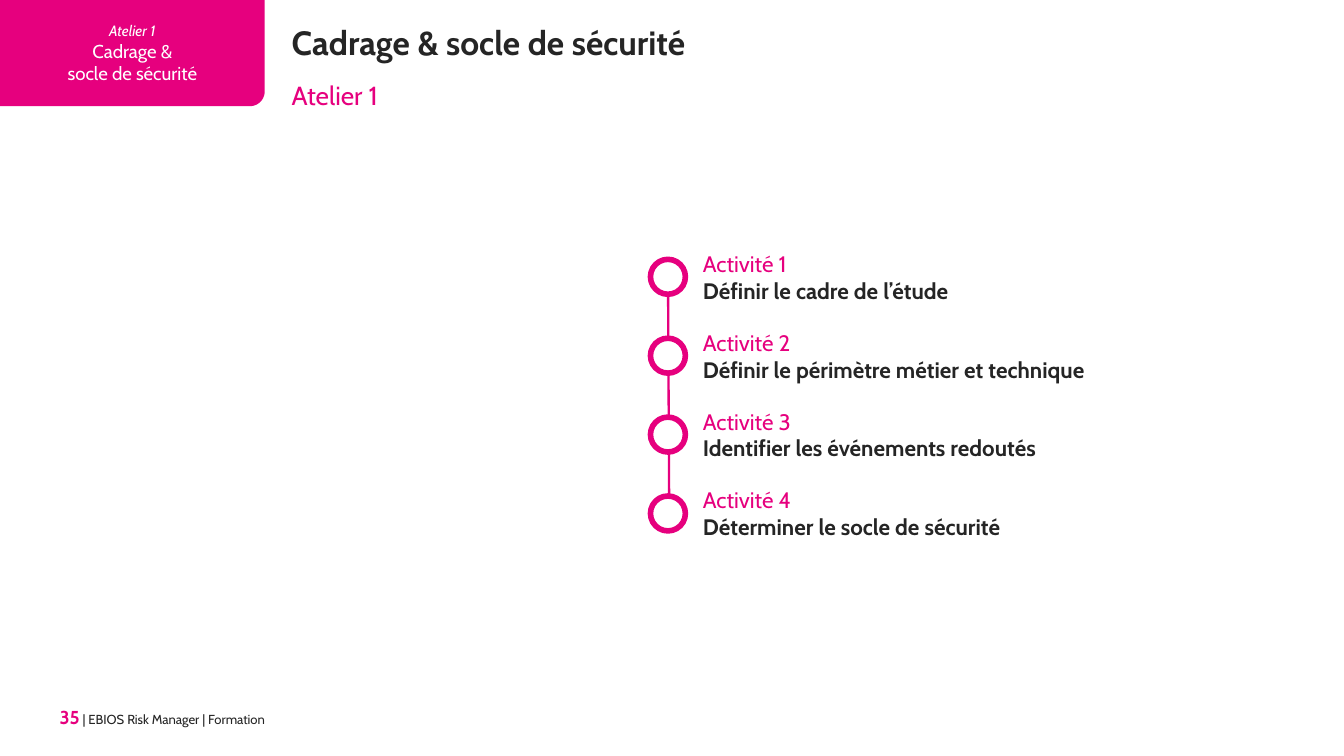
from dataclasses import dataclass
from math import cos, pi, sin

from lxml.etree import SubElement
from pptx import Presentation
from pptx.dml.color import RGBColor
from pptx.enum.shapes import MSO_CONNECTOR, MSO_SHAPE
from pptx.enum.text import MSO_ANCHOR, PP_ALIGN
from pptx.oxml.ns import qn
from pptx.util import Inches, Pt


@dataclass(frozen=True)
class Theme:
    font: str = "Cabin"
    pink: RGBColor = RGBColor(0xE6, 0x00, 0x7E)
    ink: RGBColor = RGBColor(0x25, 0x25, 0x25)
    white: RGBColor = RGBColor(0xFF, 0xFF, 0xFF)
    title: int = 18
    subtitle: int = 14
    activity: int = 12
    banner: int = 10
    banner_small: int = 8
    page: int = 10
    footer: int = 7


THEME = Theme()

# Square grid of tenths of an inch
COLUMNS, ROWS = 100, 56.25
TEXT_LEFT = 21.7
BANNER_WIDTH, BANNER_HEIGHT, BANNER_RADIUS = 19.7, 7.9, 1.1
STEP_TOP, STEP_PITCH = 19.3, 5.87
STEP_LEFT, STEP_SIZE = 48.4, 2.6
LABEL_LEFT, LABEL_RISE, LABEL_WIDTH = 52.3, 0.7, 32.5

ACTIVITIES = [
    "Définir le cadre de l’étude",
    "Définir le périmètre métier et technique",
    "Identifier les événements redoutés",
    "Déterminer le socle de sécurité",
]


def grid(*cells):
    return [Inches(cell / 10) for cell in cells]


def style(size, color, bold=False, italic=False):
    return {"name": THEME.font, "size": Pt(size), "bold": bold,
            "italic": italic, "color": color}


def write(frame, lines, align=PP_ALIGN.LEFT, anchor=MSO_ANCHOR.TOP):
    """Each line is a paragraph: a list of (text, style) runs."""
    frame_format = {"word_wrap": True, "vertical_anchor": anchor,
                    "margin_left": 0, "margin_right": 0,
                    "margin_top": 0, "margin_bottom": 0}
    for name, value in frame_format.items():
        setattr(frame, name, value)
    for index, runs in enumerate(lines):
        paragraph = frame.add_paragraph() if index else frame.paragraphs[0]
        paragraph.alignment = align
        for text, look in runs:
            run = paragraph.add_run()
            run.text = text
            for name, value in look.items():
                if name == "color":
                    run.font.color.rgb = value
                else:
                    setattr(run.font, name, value)


def add_text(slide, box, lines, align=PP_ALIGN.LEFT):
    write(slide.shapes.add_textbox(*grid(*box)).text_frame, lines, align)


def paint(shape, fill, line=None, width=0):
    shape.shadow.inherit = False
    shape.fill.solid()
    shape.fill.fore_color.rgb = fill
    if line is None:
        shape.line.fill.background()
    else:
        shape.line.color.rgb = line
        shape.line.width = Pt(width)


def add_banner(slide):
    # Rectangle with its bottom right corner rounded
    center_x = BANNER_WIDTH - BANNER_RADIUS
    center_y = BANNER_HEIGHT - BANNER_RADIUS
    angles = [step * pi / 32 for step in range(17)]
    corner = [grid(center_x + BANNER_RADIUS * cos(angle),
                   center_y + BANNER_RADIUS * sin(angle)) for angle in angles]
    outline = slide.shapes.build_freeform(0, 0)
    outline.add_line_segments(
        [grid(BANNER_WIDTH, 0), *corner, grid(0, BANNER_HEIGHT)], close=True)
    banner = outline.convert_to_shape()
    paint(banner, THEME.pink)
    small = style(THEME.banner_small, THEME.white, italic=True)
    large = style(THEME.banner, THEME.white)
    write(banner.text_frame,
          [[("Atelier 1", small)], [("Cadrage &", large)],
           [("socle de sécurité", large)]],
          PP_ALIGN.CENTER, MSO_ANCHOR.MIDDLE)


def add_spine(slide):
    center = STEP_LEFT + STEP_SIZE / 2
    bottom = STEP_TOP + (len(ACTIVITIES) - 1) * STEP_PITCH + STEP_SIZE
    spine = slide.shapes.add_connector(
        MSO_CONNECTOR.STRAIGHT, *grid(center, STEP_TOP, center + 0.1, bottom))
    spine.line.color.rgb = THEME.pink
    spine.line.width = Pt(1.25)
    SubElement(spine.element.spPr, qn("a:effectLst"))


def add_activity(slide, index, goal):
    top = STEP_TOP + index * STEP_PITCH
    ring = slide.shapes.add_shape(
        MSO_SHAPE.OVAL, *grid(STEP_LEFT, top, STEP_SIZE, STEP_SIZE))
    paint(ring, THEME.white, THEME.pink, 3)
    add_text(slide, (LABEL_LEFT, top - LABEL_RISE, LABEL_WIDTH, 4),
             [[(f"Activité {index + 1}", style(THEME.activity, THEME.pink))],
              [(goal, style(THEME.activity, THEME.ink, bold=True))]])


def main():
    deck = Presentation()
    deck.slide_width, deck.slide_height = grid(COLUMNS, ROWS)
    slide = deck.slides.add_slide(deck.slide_layouts[6])

    # Banner and footer
    add_banner(slide)
    add_text(slide, (2, 52.5, 17.7, 2),
             [[("35", style(THEME.page, THEME.pink, bold=True)),
               (" | EBIOS Risk Manager | Formation",
                style(THEME.footer, THEME.ink))]], PP_ALIGN.RIGHT)

    # Timeline of activities
    add_spine(slide)
    for index, goal in enumerate(ACTIVITIES):
        add_activity(slide, index, goal)

    # Headings
    add_text(slide, (TEXT_LEFT, 1.6, 74.8, 3),
             [[("Cadrage & socle de sécurité",
                style(THEME.title, THEME.ink, bold=True))]])
    add_text(slide, (TEXT_LEFT, 5.9, 70.4, 2.4),
             [[("Atelier 1", style(THEME.subtitle, THEME.pink))]])

    deck.save("out.pptx")


if __name__ == "__main__":
    main()
